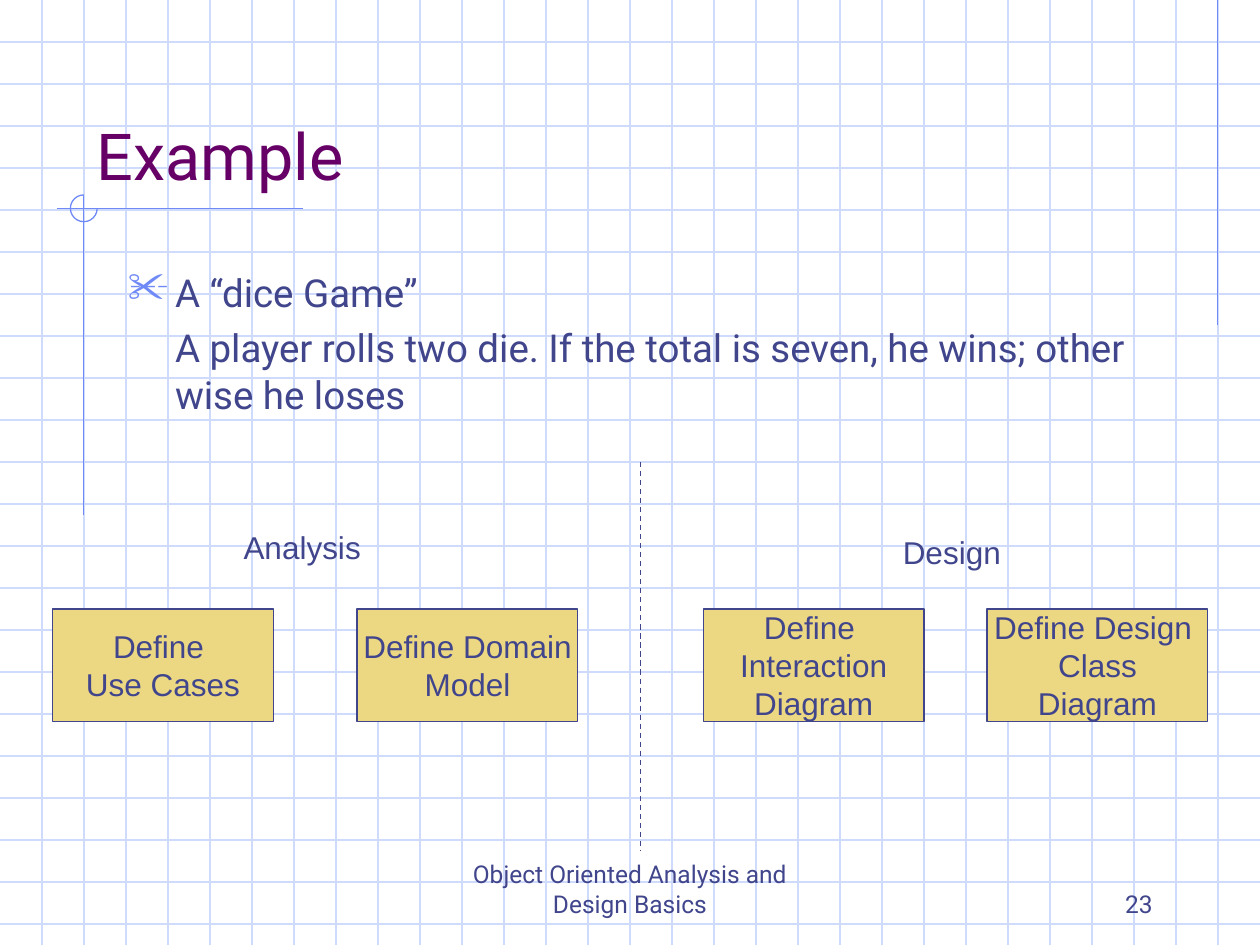
from lxml import etree
from pptx import Presentation
from pptx.dml.color import RGBColor
from pptx.enum.dml import MSO_LINE
from pptx.enum.shapes import MSO_CONNECTOR, MSO_SHAPE
from pptx.enum.text import MSO_ANCHOR, MSO_AUTO_SIZE, PP_ALIGN
from pptx.oxml.ns import qn
from pptx.util import Cm, Pt

GRID = RGBColor(0xCF, 0xDB, 0xFD)
ACCENT = RGBColor(0x6F, 0x89, 0xF7)
INK = RGBColor(0x40, 0x45, 0x8C)
PLUM = RGBColor(0x66, 0x00, 0x66)
SAND = RGBColor(0xEC, 0xD8, 0x82)

deck = Presentation()
deck.slide_width, deck.slide_height = Cm(25.4), Cm(19.05)
page = deck.slides.add_slide(deck.slide_layouts[5])
shapes = page.shapes


def add_line(x1, y1, x2, y2, color):
    line = shapes.add_connector(MSO_CONNECTOR.STRAIGHT, Cm(x1), Cm(y1), Cm(x2), Cm(y2))
    line.line.color.rgb = color
    line.line.width = Pt(0.75)
    etree.SubElement(line._element.spPr, qn("a:effectLst"))
    return line


def write(frame, lines, font, size, color=INK, align=PP_ALIGN.LEFT):
    """Put one paragraph per line into the frame, all in one style."""
    frame.text = "\n".join(lines)
    for para in frame.paragraphs:
        para.alignment = align
        para.font.name = font
        para.font.size = Pt(size)
        para.font.color.rgb = color


# Squared paper
pitch = 25.4 / 30
for row in range(1, 23):
    add_line(0, row * pitch, 25.4, row * pitch, GRID)
for column in range(1, 30):
    add_line(column * pitch, 0, column * pitch, 19.05, GRID)

# Corner ornaments
add_line(24.55, 0, 24.55, 6.55, ACCENT)
add_line(6.1, 4.21, 1.15, 4.21, ACCENT)
add_line(1.69, 3.93, 1.69, 10.39, ACCENT)
arc = shapes.add_shape(MSO_SHAPE.ARC, Cm(1.42), Cm(3.93), Cm(0.54), Cm(0.54))
arc.adjustments[0] = 0
arc.adjustments[1] = 162  # 270 degrees
arc.shadow.inherit = False
arc.fill.background()
arc.line.color.rgb = ACCENT
arc.line.width = Pt(0.75)

# Title, brought in front of the grid
title = shapes.title
title.left, title.top, title.width, title.height = Cm(1.69), Cm(0.85), Cm(21.59), Cm(3.17)
title.text_frame.auto_size = MSO_AUTO_SIZE.NONE
title.text_frame.vertical_anchor = MSO_ANCHOR.BOTTOM
write(title.text_frame, ["Example"], "Roboto", 37, PLUM)
shapes._spTree.append(title._element)

# Body
body = shapes.add_textbox(Cm(2.33), Cm(5.29), Cm(21.59), Cm(4.42)).text_frame
body.word_wrap = True
body.text = "A “dice Game”\nA player rolls two die. If the total is seven, he wins; other wise he loses"
for para, bulleted in zip(body.paragraphs, (True, False)):
    props = para._p.get_or_add_pPr()
    props.set("marL", str(Cm(0.95)))
    if bulleted:
        props.set("indent", str(Cm(-0.95)))
        bullet_color = etree.SubElement(props, qn("a:buClr"))
        etree.SubElement(bullet_color, qn("a:srgbClr"), val=str(ACCENT))
        etree.SubElement(props, qn("a:buSzPct"), val="110000")
        etree.SubElement(props, qn("a:buChar"), char="✂")
    else:
        props.set("indent", "0")
        etree.SubElement(props, qn("a:buNone"))
        para.space_before = Pt(5.5)
    para.font.name = "Roboto"
    para.font.size = Pt(22)
    para.font.color.rgb = INK

# Activities
activities = [
    (1.06, ["Define ", "Use Cases"]),
    (7.2, ["Define Domain", "Model"]),
    (14.18, ["Define ", "Interaction", "Diagram"]),
    (19.9, ["Define Design ", "Class", "Diagram"]),
]
for left, lines in activities:
    box = shapes.add_shape(MSO_SHAPE.RECTANGLE, Cm(left), Cm(12.28), Cm(4.45), Cm(2.26))
    box.shadow.inherit = False
    box.fill.solid()
    box.fill.fore_color.rgb = SAND
    box.line.color.rgb = INK
    box.line.width = Pt(0.75)
    box.text_frame.word_wrap = False
    box.text_frame.vertical_anchor = MSO_ANCHOR.MIDDLE
    write(box.text_frame, lines, "Arial", 18, align=PP_ALIGN.CENTER)

divider = add_line(12.91, 9.31, 12.91, 17.15, INK)
divider.line.dash_style = MSO_LINE.DASH

for text, left, top, width in [("Analysis", 4.66, 10.52, 3.05), ("Design", 17.95, 10.62, 2.49)]:
    label = shapes.add_textbox(Cm(left), Cm(top), Cm(width), Cm(1.02)).text_frame
    label.word_wrap = False
    label.auto_size = MSO_AUTO_SIZE.SHAPE_TO_FIT_TEXT
    write(label, [text], "Arial", 18)

# Footer
for text, left, width, align in [
    ("Object Oriented Analysis and Design Basics", 8.68, 8.04, PP_ALIGN.CENTER),
    ("23", 18.2, 5.29, PP_ALIGN.RIGHT),
]:
    footer = shapes.add_textbox(Cm(left), Cm(17.36), Cm(width), Cm(1.27)).text_frame
    footer.word_wrap = True
    footer.vertical_anchor = MSO_ANCHOR.BOTTOM
    write(footer, [text], "Roboto", 14, align=align)

deck.save("out.pptx")
